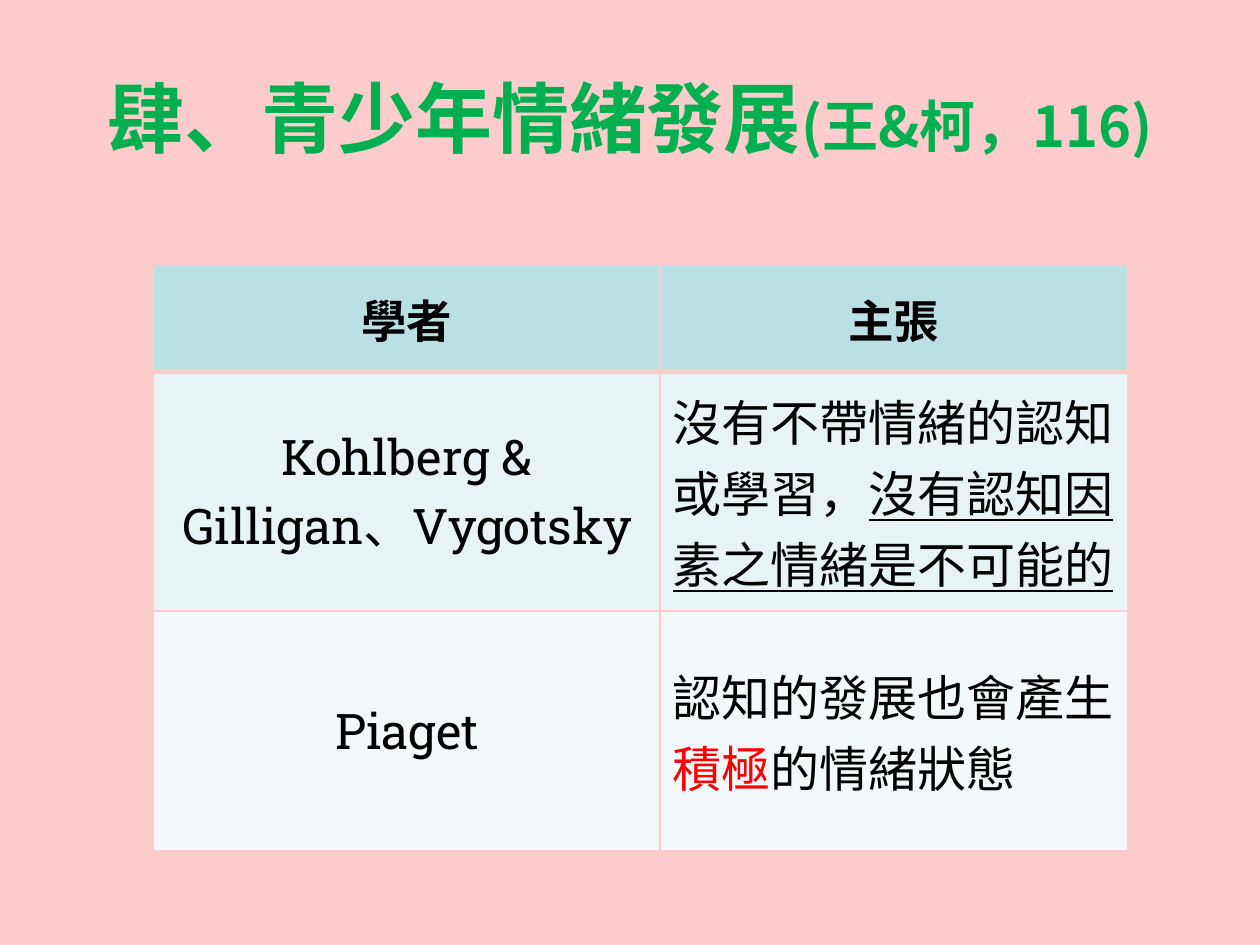
from lxml import etree
from pptx import Presentation
from pptx.dml.color import RGBColor
from pptx.enum.text import MSO_ANCHOR, PP_ALIGN
from pptx.oxml.ns import qn
from pptx.util import Pt

PX = 9144  # 100 px to the inch
COLORS = {
    "background": "FFCCCC",
    "title": "00B050",
    "header": "BBE0E3",
    "odd_row": "E7F3F4",
    "even_row": "F3F9FA",
    "text": "000000",
    "emphasis": "FF0000",
}
CJK, CJK_TITLE, SLAB = "Noto Sans CJK JP", "Noto Sans CJK SC", "Roboto Slab"


def px(length):
    return length * PX


def color(name):
    return RGBColor.from_string(COLORS[name])


def add_run(paragraph, text, *, size=28, font=CJK, fill="text", bold=False, underline=False):
    run = paragraph.add_run()
    run.text = text
    run.font.size = Pt(size)
    run.font.name = font
    run.font.bold = bold
    run.font.underline = underline
    run.font.color.rgb = color(fill)
    east_asian = CJK if font == SLAB else font
    run.font._element.find(qn("a:latin")).addnext(
        etree.Element(qn("a:ea"), typeface=east_asian))


def add_title(slide, box, runs):
    shape = slide.shapes.add_textbox(*map(px, box))
    frame = shape.text_frame
    frame.word_wrap = True
    frame.vertical_anchor = MSO_ANCHOR.MIDDLE
    paragraph = frame.paragraphs[0]
    paragraph.alignment = PP_ALIGN.CENTER
    for text, size in runs:
        add_run(paragraph, text, size=size, font=CJK_TITLE, fill="title", bold=True)


def set_borders(cell, widths):
    properties = cell._tc.get_or_add_tcPr()
    for index, (side, width) in enumerate(widths.items()):
        line = etree.Element(qn(f"a:{side}"), w=str(Pt(width)))
        fill = etree.SubElement(line, qn("a:solidFill"))
        etree.SubElement(fill, qn("a:srgbClr"), val=COLORS["background"])
        properties.insert(index, line)


def fill_cell(cell, runs, *, fill, align, top=1, bottom=1):
    cell.fill.solid()
    cell.fill.fore_color.rgb = color(fill)
    cell.vertical_anchor = MSO_ANCHOR.MIDDLE
    set_borders(cell, {"lnL": 1, "lnR": 1, "lnT": top, "lnB": bottom})
    paragraph = cell.text_frame.paragraphs[0]
    paragraph.alignment = align
    for text, style in runs:
        add_run(paragraph, text, **style)


def add_scholar_table(slide, box, column_widths, row_heights, header, rows):
    table = slide.shapes.add_table(
        len(row_heights), len(column_widths), *map(px, box)).table
    for column, width in zip(table.columns, column_widths):
        column.width = px(width)
    for row, height in zip(table.rows, row_heights):
        row.height = px(height)

    # Header row with a thicker rule below
    for index, label in enumerate(header):
        fill_cell(table.cell(0, index), [(label, {"size": 26, "bold": True})],
                  fill="header", align=PP_ALIGN.CENTER, bottom=3)

    # Scholars and their claims
    for index, (scholar, claim) in enumerate(rows, start=1):
        fill = "odd_row" if index % 2 else "even_row"
        top = 3 if index == 1 else 1
        fill_cell(table.cell(index, 0), [(scholar, {"font": SLAB})],
                  fill=fill, align=PP_ALIGN.CENTER, top=top)
        fill_cell(table.cell(index, 1), claim,
                  fill=fill, align=PP_ALIGN.LEFT, top=top)


def main():
    presentation = Presentation()
    presentation.slide_width, presentation.slide_height = px(1000), px(750)
    slide = presentation.slides.add_slide(presentation.slide_layouts[6])
    slide.background.fill.solid()
    slide.background.fill.fore_color.rgb = color("background")

    add_title(slide, (50, 30, 900, 125),
              [("肆、青少年情緒發展", 44), ("(王&柯，116)", 32)])
    add_scholar_table(
        slide, (122, 210, 773, 465), (402, 371), (85, 190, 190),
        ("學者", "主張"),
        [
            ("Kohlberg & Gilligan、Vygotsky", [
                ("沒有不帶情緒的認知或學習，", {}),
                ("沒有認知因素之情緒是不可能的", {"underline": True}),
            ]),
            ("Piaget", [
                ("認知的發展也會產生", {}),
                ("積極", {"fill": "emphasis"}),
                ("的情緒狀態", {}),
            ]),
        ])
    presentation.save("out.pptx")


if __name__ == "__main__":
    main()
